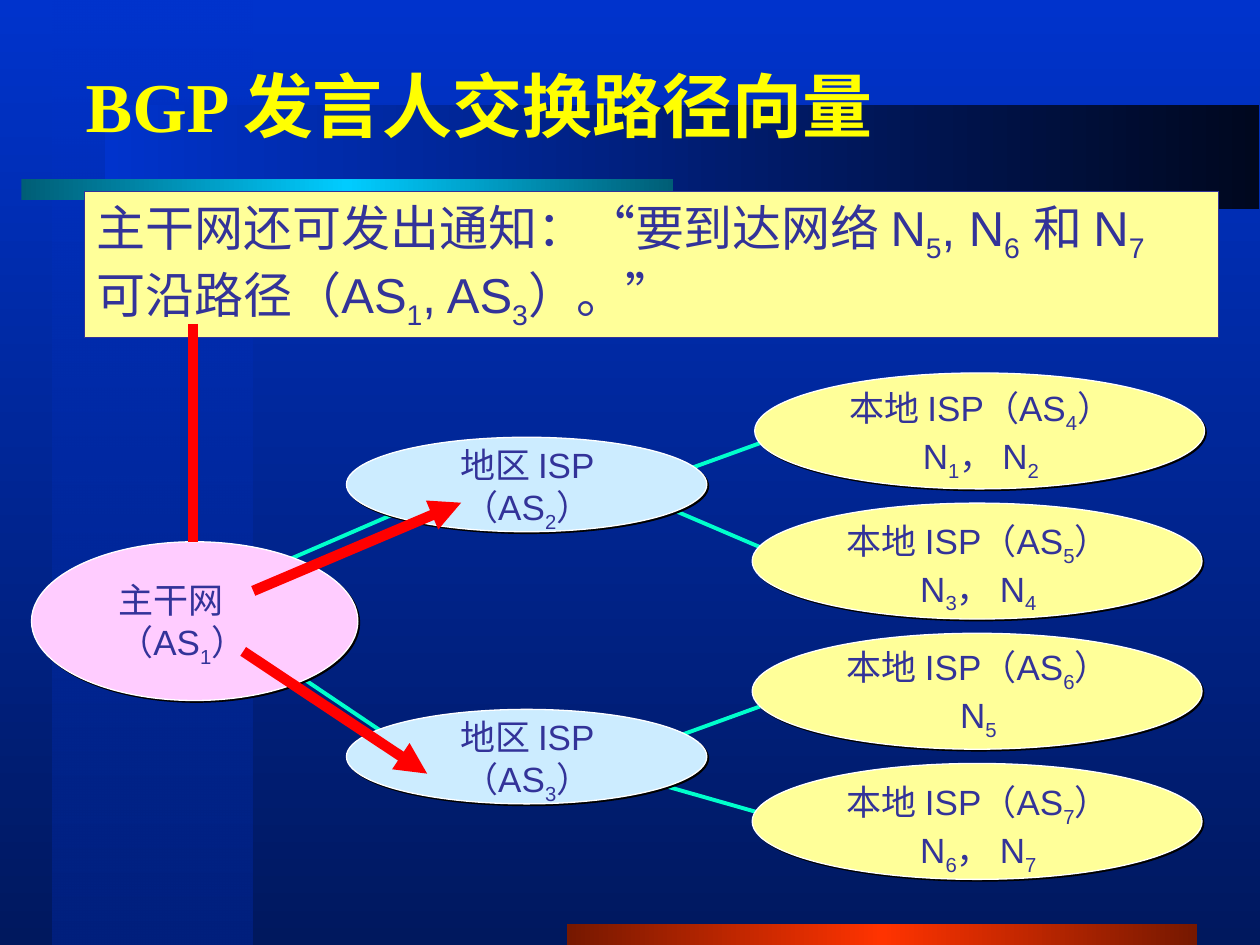
import copy

import pptx
import pptx.dml.color
import pptx.enum.shapes
import pptx.enum.text
import pptx.oxml
import pptx.oxml.ns
import pptx.util

CELL = pptx.util.Inches(0.1)
COLUMNS, ROWS = 100, 75
SHAPE = pptx.enum.shapes.MSO_SHAPE
ALIGN = pptx.enum.text.PP_ALIGN
ANCHOR = pptx.enum.text.MSO_ANCHOR
AUTO = pptx.enum.text.MSO_AUTO_SIZE
qn = pptx.oxml.ns.qn

COLORS = {
    "sky": "0033CC", "deep": "00185E", "column": "00207E", "night": "00081F",
    "rust": "761800", "orange": "FF3300", "teal": "005E76", "cyan": "00CCFF",
    "title": "FFFF01", "text": "333399", "link": "00FFCC", "route": "FF0000",
    "backbone": "FFCCFF", "region": "CCECFF", "local": "FFFF99",
    "edge": "FFFFFF", "shadow": "000000",
}


def grid(*cells):
    return [round(cell * CELL) for cell in cells]


def rgb(name):
    return pptx.dml.color.RGBColor.from_string(COLORS[name])


def xml(tag, **attributes):
    element = pptx.oxml.parse_xml(f"<a:{tag} {pptx.oxml.ns.nsdecls('a')}/>")
    for key, value in attributes.items():
        element.set(key, str(value))
    return element


def paint_gradient(fill, owner, names, angle):
    fill.gradient()
    fill.gradient_angle = angle
    stops = next(owner.iter(qn("a:gsLst")))
    while len(stops) < len(names):
        stops.append(copy.deepcopy(stops[0]))
    for i, (stop, name) in enumerate(zip(fill.gradient_stops, names)):
        stop.position = i / (len(names) - 1)
        stop.color.rgb = rgb(name)


def add_band(s, at, names, angle=0):
    sp = s.shapes.add_shape(SHAPE.RECTANGLE, *grid(*at))
    sp.shadow.inherit = False
    sp.line.fill.background()
    paint_gradient(sp.fill, sp.element, names, angle)
    return sp


def add_backdrop(s):
    paint_gradient(s.background.fill, s.element, ["sky", "deep"], 270)
    column = add_band(s, (4.2, 0, 15.8, ROWS), ["sky", "column"], 270)
    next(column.element.iter(qn("a:srgbClr"))).append(xml("alpha", val=50000))
    add_band(s, (45, 73.3, 50, 1.7), ["rust", "orange", "rust"])
    add_band(s, (8.3, 8.3, 91.6, 8.3), ["sky", "night"])
    add_band(s, (1.7, 14.2, 51.7, 1.7), ["teal", "cyan", "teal"])


def format_run(r, size, color, font="Arial"):
    r.font.size = pptx.util.Pt(size)
    r.font.name = font
    r.font.color.rgb = rgb(color)


def add_title(s, text):
    title = s.shapes.title
    s.shapes.element.append(title.element)
    title.left, title.top, title.width, title.height = grid(5.8, 3.3, 85, 10)
    tf = title.text_frame
    tf.text = text
    tf.auto_size = AUTO.NONE
    tf.vertical_anchor = ANCHOR.MIDDLE
    p = tf.paragraphs[0]
    p.alignment = ALIGN.LEFT
    format_run(p.runs[0], 40, "title", "Times New Roman")
    p.runs[0].font.bold = True


def write_lines(tf, lines, size, align):
    for i, line in enumerate(lines):
        p = tf.add_paragraph() if i else tf.paragraphs[0]
        p.alignment = align
        first, *rest = line.split("_")
        pieces = [(first, False)]
        for part in rest:
            pieces += [(part[0], True), (part[1:], False)]
        for text, is_subscript in pieces:
            if text:
                r = p.add_run()
                r.text = text
                format_run(r, size, "text")
                if is_subscript:
                    r.font._element.set("baseline", "-25000")


def add_label(s, at, lines, align=ALIGN.CENTER):
    tf = s.shapes.add_textbox(*grid(*at)).text_frame
    tf.word_wrap = False
    tf.auto_size = AUTO.SHAPE_TO_FIT_TEXT
    write_lines(tf, lines, 20, align)


def add_filled(s, kind, at, fill, edge):
    sp = s.shapes.add_shape(kind, *grid(*at))
    sp.fill.solid()
    sp.fill.fore_color.rgb = rgb(fill)
    sp.line.color.rgb = rgb(edge)
    sp.line.width = pptx.util.Pt(0.75)
    sp.shadow.inherit = False
    return sp


def add_network(s, at, fill):
    sp = add_filled(s, SHAPE.OVAL, at, fill, "edge")
    shadow = xml("outerShdw", dist=pptx.util.Pt(1.4), dir=45 * 60000,
                 algn="ctr", rotWithShape=0)
    shadow.append(xml("srgbClr", val=COLORS["shadow"]))
    sp.element.spPr.find(qn("a:effectLst")).append(shadow)


def add_notice(s, text):
    sp = add_filled(s, SHAPE.RECTANGLE, (6.7, 15.2, 90, 11.6), "local", "text")
    tf = sp.text_frame
    tf.word_wrap = True
    tf.vertical_anchor = ANCHOR.TOP
    write_lines(tf, [text], 28, ALIGN.LEFT)


def add_line(s, ends, color, width, arrow=False):
    c = s.shapes.add_connector(
        pptx.enum.shapes.MSO_CONNECTOR.STRAIGHT, *grid(*ends))
    c.line.color.rgb = rgb(color)
    c.line.width = pptx.util.Pt(width)
    spPr = c.element.spPr
    if arrow:
        spPr.find(qn("a:ln")).append(xml("tailEnd", type="triangle"))
    spPr.append(xml("effectLst"))


def main():
    prs = pptx.Presentation()
    prs.slide_width, prs.slide_height = grid(COLUMNS, ROWS)
    s = prs.slides.add_slide(prs.slide_layouts[5])
    add_backdrop(s)
    add_title(s, "BGP 发言人交换路径向量")

    for ends in [(20.4, 45.5, 33.8, 39.7), (20.4, 51.4, 32.9, 59.8),
                 (52.5, 38, 64.1, 33.8), (51.6, 39.7, 63.3, 44.7),
                 (52.5, 58.9, 64.1, 54.7), (52.5, 62.3, 64.1, 65.6)]:
        add_line(s, ends, "link", 2.25)

    for number, top in [(2, 34.7), (3, 56.3)]:
        add_network(s, (27.5, top, 28.6, 7.5), "region")
        add_label(s, (34.8, top, 14.1, 8.2), ["地区 ISP", f"（AS_{number}）"])

    add_network(s, (2.5, 43, 25.9, 12.6), "backbone")
    add_label(s, (8.4, 45.4, 13.5, 8.2), ["主干网", "（AS_1）"], ALIGN.LEFT)

    locals_ = [("N_1， N_2", 59.9, 0.6), ("N_3， N_4", 59.7, 0.8),
               ("N_5", 59.7, 0.5), ("N_6， N_7", 59.7, 0.9)]
    for i, (networks, left, drop) in enumerate(locals_):
        top = 29.6 + 10.33 * i
        add_network(s, (left, top, 35.7, 9.2), "local")
        add_label(s, (left + 4.8, top + drop, 26.3, 8.6),
                  [f"本地 ISP（AS_{i + 4}）", networks])

    add_notice(s, "主干网还可发出通知：“要到达网络 N_5, N_6 和 N_7 "
                  "可沿路径（AS_1, AS_3）。”")
    add_line(s, (15.3, 25.7, 15.3, 43), "route", 6)
    for ends in [(20.1, 46.9, 36.6, 39.9), (19.3, 51.7, 33.9, 61.4)]:
        add_line(s, ends, "route", 6, arrow=True)
    prs.save("out.pptx")


if __name__ == "__main__":
    main()
